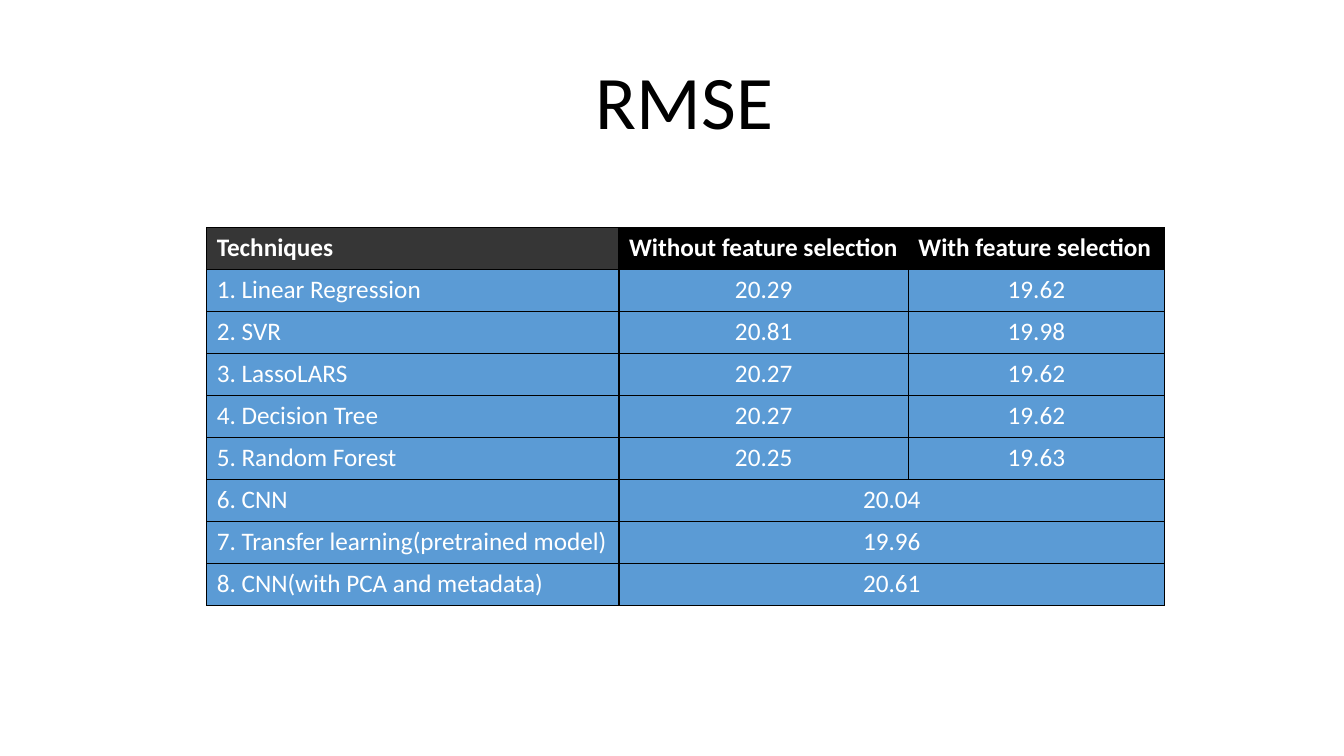
from dataclasses import dataclass

from lxml.etree import SubElement
from pptx import Presentation
from pptx.dml.color import RGBColor as RGB
from pptx.enum.text import MSO_ANCHOR as Anchor, MSO_AUTO_SIZE as Fit, PP_ALIGN as Align
from pptx.oxml import parse_xml
from pptx.oxml.ns import nsdecls, qn
from pptx.util import Inches, Pt


@dataclass(frozen=True)
class Theme:
    font: str = "Calibri"
    black: RGB = RGB(0, 0, 0)
    white: RGB = RGB(255, 255, 255)
    blue: RGB = RGB(0x5B, 0x9B, 0xD5)
    head: int = 54
    body: int = 18
    alpha: int = 79


THEME = Theme()
WIDTHS = (4.09, 2.87, 2.54)
HEADS = ("Techniques", "Without feature selection", "With feature selection")
SCORES = (
    ("1. Linear Regression", "20.29", "19.62"),
    ("2. SVR", "20.81", "19.98"),
    ("3. LassoLARS", "20.27", "19.62"),
    ("4. Decision Tree", "20.27", "19.62"),
    ("5. Random Forest", "20.25", "19.63"),
    ("6. CNN", "20.04"),
    ("7. Transfer learning(pretrained model)", "19.96"),
    ("8. CNN(with PCA and metadata)", "20.61"),
)


def style(para, size, color, align, bold=False):
    para.alignment = align
    for run in para.runs:
        font = run.font
        font.name, font.size, font.bold = THEME.font, Pt(size), bold
        font.color.rgb = color


def add_title(slide, box, text):
    title = slide.shapes.title
    title.left, title.top, title.width, title.height = map(Inches, box)
    frame = title.text_frame
    frame.text = text
    frame.vertical_anchor = Anchor.MIDDLE
    frame.auto_size = Fit.SHAPE_TO_FIT_TEXT
    style(frame.paragraphs[0], THEME.head, THEME.black, Align.CENTER)


def add_edges(cell):
    """Draw thin lines on all four sides; they must precede the cell's fill."""
    props = cell._tc.get_or_add_tcPr()
    for spot, side in enumerate("LRTB"):
        props.insert(spot, parse_xml(
            f'<a:ln{side} {nsdecls("a")} w="{Pt(1)}"><a:solidFill>'
            f'<a:srgbClr val="{THEME.black}"/></a:solidFill></a:ln{side}>'))


def fade(cell, alpha):
    """Make the cell's solid fill opaque to alpha percent."""
    color = cell._tc.tcPr.find(qn("a:solidFill")).find(qn("a:srgbClr"))
    SubElement(color, qn("a:alpha"), val=str(alpha * 1000))


def add_scores(slide, box):
    rows = (HEADS, *SCORES)
    frame = slide.shapes.add_table(len(rows), len(HEADS), *map(Inches, box))
    table = frame.table
    table.horz_banding = False
    for col, width in zip(table.columns, WIDTHS):
        col.width = Inches(width)
    for r, row in enumerate(rows):
        table.rows[r].height = Inches(box[3] / len(rows))
        for c in range(len(HEADS)):
            cell = table.cell(r, c)
            cell.fill.solid()
            cell.fill.fore_color.rgb = THEME.blue if r else THEME.black
            add_edges(cell)
            if c < len(row):
                cell.text = row[c]
                align = Align.CENTER if r and c else Align.LEFT
                style(cell.text_frame.paragraphs[0], THEME.body, THEME.white,
                      align, bold=r == 0)
        if len(row) < len(HEADS):
            table.cell(r, 1).merge(table.cell(r, 2))
    fade(table.cell(0, 0), THEME.alpha)


def main():
    deck = Presentation()
    deck.slide_width, deck.slide_height = Inches(13.33), Inches(7.5)
    slide = deck.slides.add_slide(deck.slide_layouts.get_by_name("Title Only"))
    add_scores(slide, (2.05, 2.26, 9.5, 3.75))
    add_title(slide, (4.2, 0.48, 5.18, 1.01), "RMSE")
    deck.save("out.pptx")


if __name__ == "__main__":
    main()
